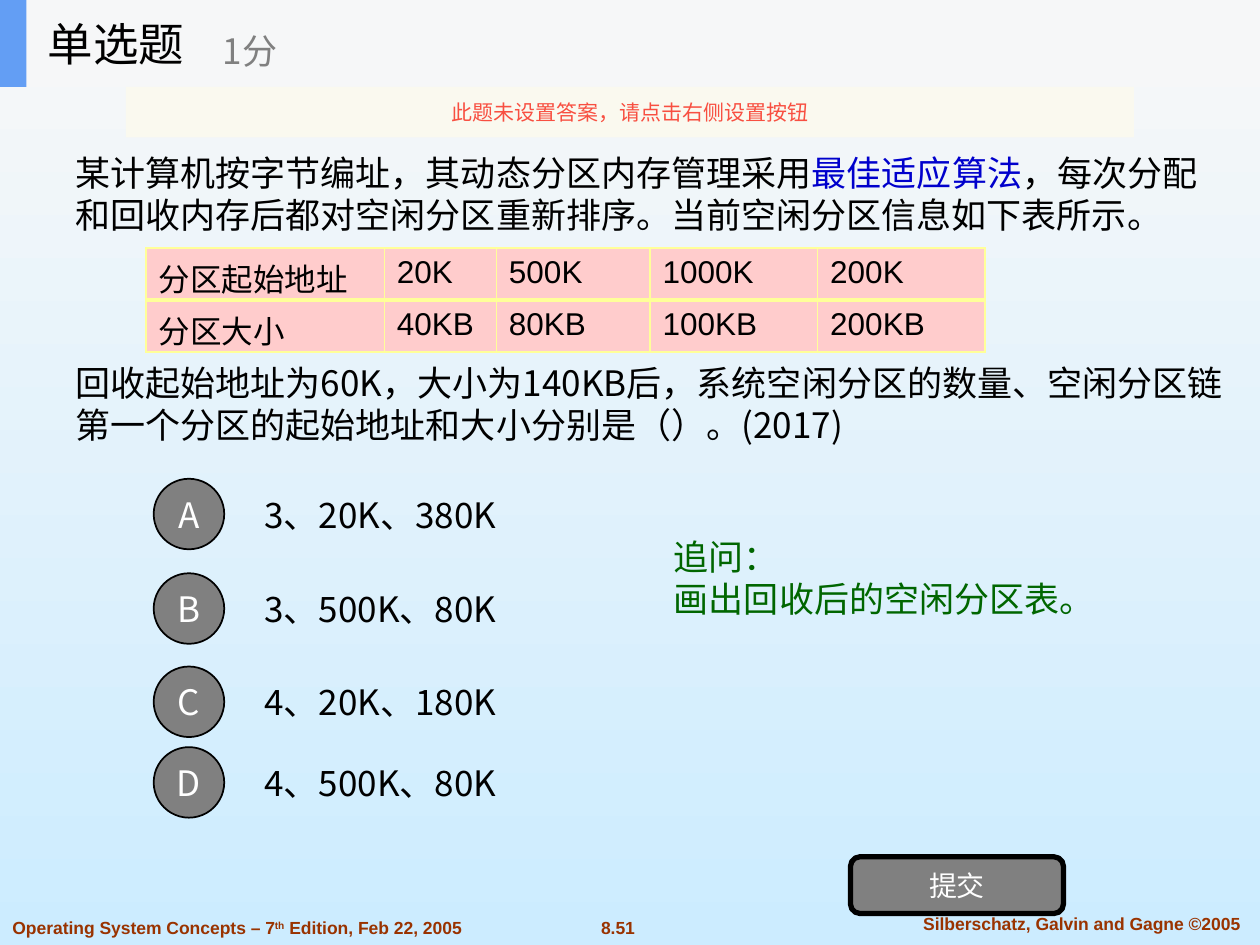
from lxml.etree import SubElement
from pptx import Presentation
from pptx.dml.color import RGBColor
from pptx.enum.shapes import MSO_SHAPE
from pptx.enum.text import MSO_ANCHOR, MSO_AUTO_SIZE, PP_ALIGN
from pptx.oxml.ns import qn
from pptx.util import Inches, Pt

CJK = "Noto Sans CJK SC"
BLACK, GRAY, WHITE, GREEN = "000000", "808080", "FFFFFF", "006600"
BLUE, BROWN, PINK, YELLOW = "0000CC", "993300", "FFCCCC", "FFFF99"

OPTIONS = [("A", "3、20K、380K", 3.8), ("B", "3、500K、80K", 4.55),
           ("C", "4、20K、180K", 5.29), ("D", "4、500K、80K", 5.93)]
PARTITIONS = [["分区起始地址", "20K", "500K", "1000K", "200K"],
              ["分区大小", "40KB", "80KB", "100KB", "200KB"]]
COLUMN_WIDTHS = [1.89, 0.89, 1.22, 1.33, 1.33]
QUESTION = [
    [("某计算机按字节编址，其动态分区内存管理采用", {}),
     ("最佳适应算法", {"color": BLUE}),
     ("，每次分配和回收内存后都对空闲分区重新排序。当前空闲分区信息如下表所示。", {})],
    "回收起始地址为60K，大小为140KB后，系统空闲分区的数量、"
    "空闲分区链第一个分区的起始地址和大小分别是（）。(2017)",
]
BOOK = [[("Operating System Concepts – 7", {}), ("th", {"raised": True}),
         (" Edition, Feb 22, 2005", {})]]


def rgb(value):
    return RGBColor.from_string(value)


def add_span(para, text, size=20, color=BLACK, name=CJK, bold=False, raised=False):
    span = para.add_run()
    span.text = text
    font = span.font
    font.size, font.name, font.bold = Pt(size), name, bold
    font.color.rgb = rgb(color)
    properties = span._r.get_or_add_rPr()
    SubElement(properties, qn("a:ea")).set("typeface", CJK)
    if raised:
        properties.set("baseline", "30000")


def write(frame, paragraphs, align=PP_ALIGN.LEFT, anchor=MSO_ANCHOR.MIDDLE,
          wrap=True, leading=None, gap=0, **style):
    """Fill a text frame; a paragraph is a string or a list of (text, style)."""
    frame.word_wrap = wrap
    frame.auto_size = MSO_AUTO_SIZE.NONE
    frame.vertical_anchor = anchor
    for index, content in enumerate(paragraphs):
        para = frame.add_paragraph() if index else frame.paragraphs[0]
        para.alignment = align
        para.space_before = Pt(gap if index else 0)
        if leading:
            para.line_spacing = Pt(leading)
        spans = [(content, {})] if isinstance(content, str) else content
        for text, extra in spans:
            add_span(para, text, **{**style, **extra})


def add_text(page, place, paragraphs, **style):
    box = page.shapes.add_textbox(*map(Inches, place))
    write(box.text_frame, paragraphs, **style)


def add_block(page, kind, place, fill, text=None, line=None, alpha=None, **style):
    block = page.shapes.add_shape(kind, *map(Inches, place))
    block.shadow.inherit = False
    block.fill.solid()
    block.fill.fore_color.rgb = rgb(fill)
    if alpha:
        color = block.fill._xPr.find(qn("a:solidFill"))[0]
        SubElement(color, qn("a:alpha")).set("val", str(alpha * 1000))
    if line:
        block.line.color.rgb = rgb(BLACK)
        block.line.width = Pt(line)
    else:
        block.line.fill.background()
    if text:
        write(block.text_frame, [text], align=PP_ALIGN.CENTER, wrap=False, **style)


def set_borders(cell, bottom):
    properties = cell._tc.get_or_add_tcPr()
    for side, width in (("L", 1), ("R", 1), ("T", 1), ("B", bottom)):
        edge = SubElement(properties, qn(f"a:ln{side}"), w=str(Pt(width)))
        SubElement(SubElement(edge, qn("a:solidFill")), qn("a:srgbClr")).set("val", YELLOW)


def add_partition_table(page):
    frame = page.shapes.add_table(2, 5, *map(Inches, (1.16, 1.97, 6.66, 0.82)))
    table = frame.table
    table.first_row = table.horz_banding = False
    for column, width in zip(table.columns, COLUMN_WIDTHS):
        column.width = Inches(width)
    for row, texts in enumerate(PARTITIONS):
        for column, text in enumerate(texts):
            cell = table.cell(row, column)
            cell.margin_bottom = 0
            set_borders(cell, bottom=1 if row else 3)
            cell.fill.solid()
            cell.fill.fore_color.rgb = rgb(PINK)
            add_span(cell.text_frame.paragraphs[0], text, size=18, name="Arial")


def set_background(page):
    fill = page.background.fill
    fill.gradient()
    fill.gradient_angle = 270
    for stop, color in zip(fill.gradient_stops, ("F8F8F8", "CCECFF")):
        stop.color.rgb = rgb(color)


def add_header(page):
    add_block(page, MSO_SHAPE.RECTANGLE, (0, 0, 10, 0.69), "F6F7F8")
    add_block(page, MSO_SHAPE.RECTANGLE, (0, 0, 0.21, 0.69), "639EF4")
    title = page.shapes.title
    title.left, title.top, title.width, title.height = map(Inches, (0.28, 0, 2.08, 0.69))
    write(title.text_frame, ["单选题"], size=26, wrap=False)
    # Bring the title in front of the header bar
    title.element.getparent().append(title.element)
    add_text(page, (1.67, 0.12, 2.5, 0.56), ["1分"], color=GRAY, wrap=False)
    add_block(page, MSO_SHAPE.RECTANGLE, (1, 0.69, 8, 0.4), "FBFAEF", alpha=90,
              text="此题未设置答案，请点击右侧设置按钮", size=12, color="F84F41")


def add_options(page):
    for letter, answer, top in OPTIONS:
        add_block(page, MSO_SHAPE.OVAL, (1.22, top, 0.56, 0.56), GRAY, letter,
                  line=1, color=WHITE)
        add_text(page, (2, top - 0.07, 3.23, 0.7), [answer])


def add_footer(page):
    style = {"size": 10, "color": BROWN, "name": "Arial", "bold": True,
             "anchor": MSO_ANCHOR.TOP}
    add_text(page, (0, 7.23, 4.21, 0.27), BOOK, wrap=False, **style)
    add_text(page, (4.64, 7.23, 0.53, 0.27), ["8.51"], wrap=False,
             align=PP_ALIGN.CENTER, **style)
    add_text(page, (7.1, 7.2, 2.97, 0.27), ["Silberschatz, Galvin and Gagne ©2005"],
             align=PP_ALIGN.CENTER, **style)


def main():
    deck = Presentation()
    deck.slide_width, deck.slide_height = Inches(10), Inches(7.5)
    page = deck.slides.add_slide(deck.slide_layouts[5])
    set_background(page)
    add_footer(page)
    # Question, with room for the table between its paragraphs
    add_text(page, (0.5, 0.98, 9.36, 2.78), QUESTION, leading=24, gap=72)
    add_partition_table(page)
    add_options(page)
    add_text(page, (5.25, 4.23, 3.65, 0.7), ["追问：", "画出回收后的空闲分区表。"],
             color=GREEN, leading=24)
    add_block(page, MSO_SHAPE.ROUNDED_RECTANGLE, (6.75, 6.8, 1.69, 0.45), GRAY,
              "提交", line=3, size=16, color=WHITE)
    add_header(page)
    deck.save("out.pptx")


if __name__ == "__main__":
    main()
